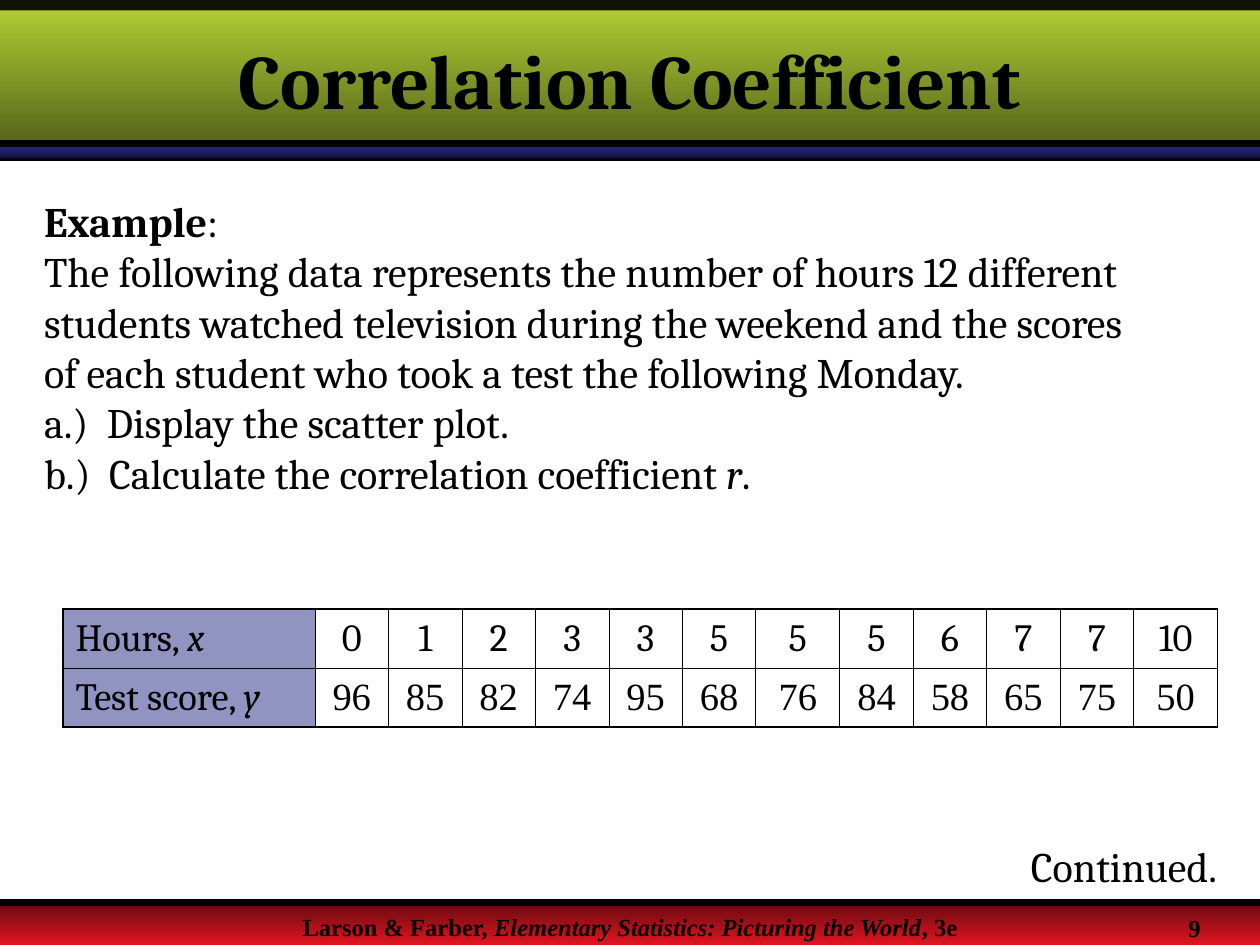
import pptx
import pptx.dml.color
import pptx.enum.shapes
import pptx.enum.text
import pptx.oxml
import pptx.oxml.ns
import pptx.util

PX = 9525
COLORS = {
    "black": "000000",
    "green_top": "B5D335", "green_bottom": "546219",
    "blue_top": "242985", "blue_bottom": "11133E",
    "red_top": "680A0F", "red_bottom": "E11521",
}
SERIF = "Cambria"
ROMAN = "Times New Roman"
ALIGN = pptx.enum.text.PP_ALIGN
ANCHOR = pptx.enum.text.MSO_ANCHOR
HOURS = [0, 1, 2, 3, 3, 5, 5, 5, 6, 7, 7, 10]
SCORES = [96, 85, 82, 74, 95, 68, 76, 84, 58, 65, 75, 50]
COLUMN_WIDTHS = [192] + [56] * 6 + [64] + [56] * 4 + [64]


def color(name):
    return pptx.dml.color.RGBColor.from_string(COLORS[name])


def element(xml):
    namespace = pptx.oxml.ns.nsdecls("a")
    return pptx.oxml.parse_xml(xml.replace("NS", namespace, 1))


def set_alpha(fill, percent):
    for node in fill.fore_color._xFill.iter(pptx.oxml.ns.qn("a:srgbClr")):
        node.append(element(f'<a:alpha NS val="{percent * 1000}"/>'))


def write_runs(paragraph, runs, size, font=SERIF, align=ALIGN.LEFT):
    paragraph.alignment = align
    paragraph.space_before = pptx.util.Pt(0)
    for text, style in runs:
        run = paragraph.add_run()
        run.text = text
        run.font.name = font
        run.font.size = pptx.util.Pt(size)
        run.font.bold = "b" in style
        run.font.italic = "i" in style
        run.font.color.rgb = color("black")


def place(shape, box):
    shape.left, shape.top, shape.width, shape.height = [value * PX for value in box]


def add_text(slide, box, runs, size, font=SERIF, align=ALIGN.LEFT):
    shape = slide.shapes.add_textbox(*[value * PX for value in box])
    shape.text_frame.word_wrap = True
    write_runs(shape.text_frame.paragraphs[0], runs, size, font, align)


def add_band(slide, box):
    band = slide.shapes.add_shape(
        pptx.enum.shapes.MSO_SHAPE.RECTANGLE, *[value * PX for value in box])
    band.shadow.inherit = False
    band.line.fill.background()
    return band


def add_gradient_band(slide, box, name):
    fill = add_band(slide, box).fill
    fill.gradient()
    fill.gradient_angle = 270
    for stop, end in zip(fill.gradient_stops, ("top", "bottom")):
        stop.color.rgb = color(f"{name}_{end}")


def add_rule(slide, left, top, width):
    rule = slide.shapes.add_connector(
        pptx.enum.shapes.MSO_CONNECTOR.STRAIGHT,
        left * PX, top * PX, (left + width) * PX, top * PX)
    rule.line.color.rgb = color("black")
    rule.line.width = pptx.util.Pt(4)
    rule._element.spPr.append(element("<a:effectLst NS/>"))


def add_header(slide, box):
    left, top, width, height = box
    add_rule(slide, left, top + height, width)
    add_gradient_band(slide, (left, top + height - 8, width, 8), "blue")
    add_gradient_band(slide, (left, top, width, height - 8), "green")
    strip = add_band(slide, (left, top, width, 8))
    strip.fill.solid()
    strip.fill.fore_color.rgb = color("black")
    set_alpha(strip.fill, 90)
    add_rule(slide, left, top + height - 11, width)

    title = slide.shapes.title
    slide.shapes.element.append(title.element)
    place(title, (left, top + 8, width, height - 16))
    frame = title.text_frame
    frame.auto_size = pptx.enum.text.MSO_AUTO_SIZE.NONE
    frame.vertical_anchor = ANCHOR.MIDDLE
    write_runs(frame.paragraphs[0], [("Correlation Coefficient", "b")], 44, align=ALIGN.CENTER)


def add_footer(slide, box):
    left, top, width, height = box
    add_gradient_band(slide, box, "red")
    add_rule(slide, left, top, width)
    citation = [
        ("Larson & Farber, ", "b"),
        ("Elementary Statistics: Picturing the World", "bi"),
        (", 3e", "b"),
    ]
    add_text(slide, (left, top + 2, width, 19), citation, 14, ROMAN, ALIGN.CENTER)
    add_text(slide, (left + width - 64, top + 3, 64, height), [("9", "b")], 14, ROMAN)


def fill_body(slide, box):
    lines = [
        [("Example", "b"), (":", "")],
        [("The following data represents the number of hours 12 different students "
          "watched television during the weekend and the scores of each student "
          "who took a test the following Monday.", "")],
        [("a.)  Display the scatter plot.", "")],
        [("b.)  Calculate the correlation coefficient ", ""), ("r", "i"), (".", "")],
    ]
    body = slide.placeholders[1]
    place(body, box)
    frame = body.text_frame
    frame.auto_size = pptx.enum.text.MSO_AUTO_SIZE.NONE
    for index, runs in enumerate(lines):
        paragraph = frame.add_paragraph() if index else frame.paragraphs[0]
        properties = paragraph._p.get_or_add_pPr()
        properties.set("marL", "0")
        properties.set("indent", "0")
        properties.append(element("<a:buNone NS/>"))
        write_runs(paragraph, runs, 24)


def set_borders(cell, outer_sides):
    properties = cell._tc.get_or_add_tcPr()
    for side in "LRTB":
        width = pptx.util.Pt(1.08 if side in outer_sides else 0.45)
        properties.append(element(
            f'<a:ln{side} NS w="{width}"><a:solidFill>'
            f'<a:srgbClr val="{COLORS["black"]}"/></a:solidFill></a:ln{side}>'))


def add_data_table(slide, left, top, row_height):
    rows = [
        ([("Hours, ", ""), ("x", "i")], HOURS, SERIF),
        ([("Test score, ", ""), ("y", "i")], SCORES, ROMAN),
    ]
    table = slide.shapes.add_table(
        len(rows), len(COLUMN_WIDTHS), left * PX, top * PX,
        sum(COLUMN_WIDTHS) * PX, row_height * len(rows) * PX).table
    table.first_row = False
    table.horz_banding = False
    for column, width in zip(table.columns, COLUMN_WIDTHS):
        column.width = width * PX
    last_column = len(COLUMN_WIDTHS) - 1
    for row_index, (label, values, number_font) in enumerate(rows):
        contents = [label] + [[(str(value), "")] for value in values]
        for column_index, runs in enumerate(contents):
            cell = table.cell(row_index, column_index)
            cell.vertical_anchor = ANCHOR.MIDDLE
            outer_sides = "B" if row_index else "T"
            outer_sides += {0: "L", last_column: "R"}.get(column_index, "")
            set_borders(cell, outer_sides)
            paragraph = cell.text_frame.paragraphs[0]
            if column_index:
                cell.fill.background()
                write_runs(paragraph, runs, 22, number_font, ALIGN.CENTER)
            else:
                cell.fill.solid()
                cell.fill.fore_color.rgb = color("blue_top")
                set_alpha(cell.fill, 50)
                write_runs(paragraph, runs, 22)


def main():
    presentation = pptx.Presentation()
    presentation.slide_width = 960 * PX
    presentation.slide_height = 720 * PX
    slide = presentation.slides.add_slide(presentation.slide_layouts[1])
    add_footer(slide, (0, 688, 960, 32))
    add_header(slide, (0, 0, 960, 120))
    add_data_table(slide, 48, 464, 45)
    fill_body(slide, (24, 144, 864, 278))
    add_text(slide, (776, 636, 182, 48), [("Continued.", "")], 24)
    presentation.save("out.pptx")


if __name__ == "__main__":
    main()
